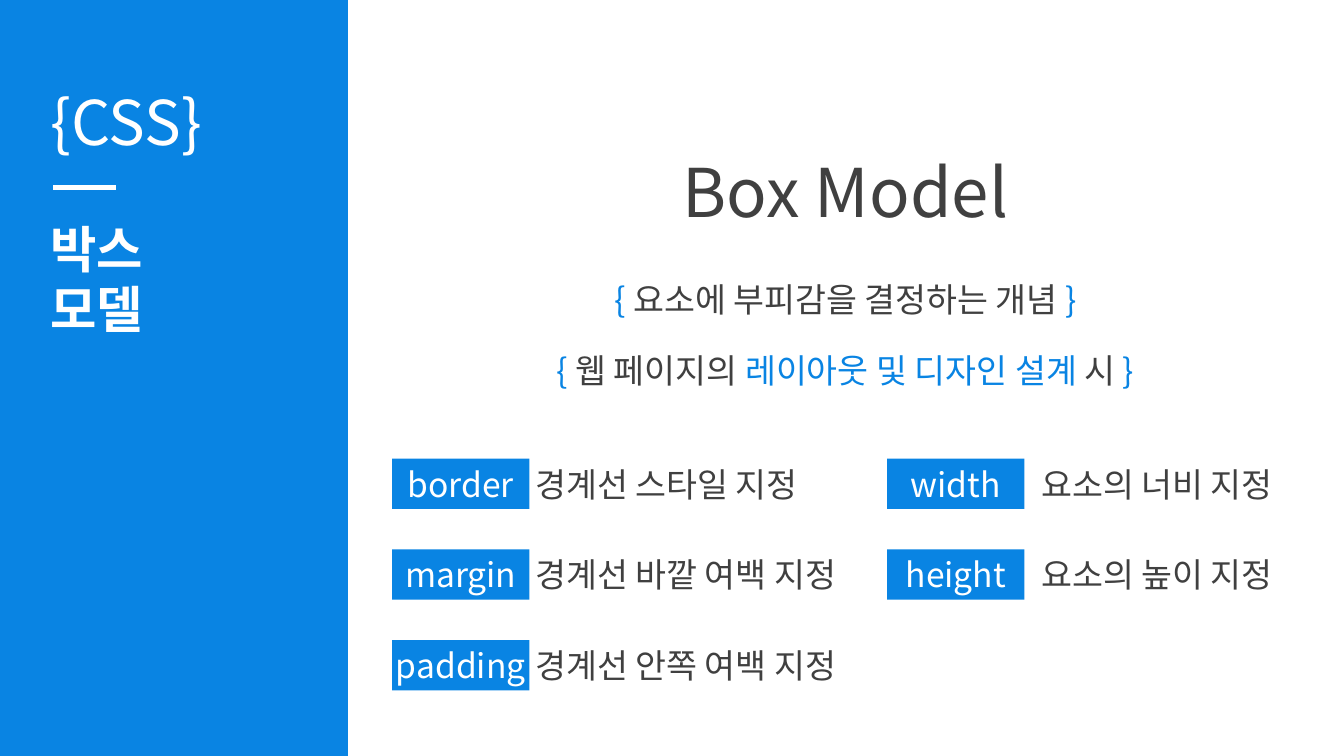
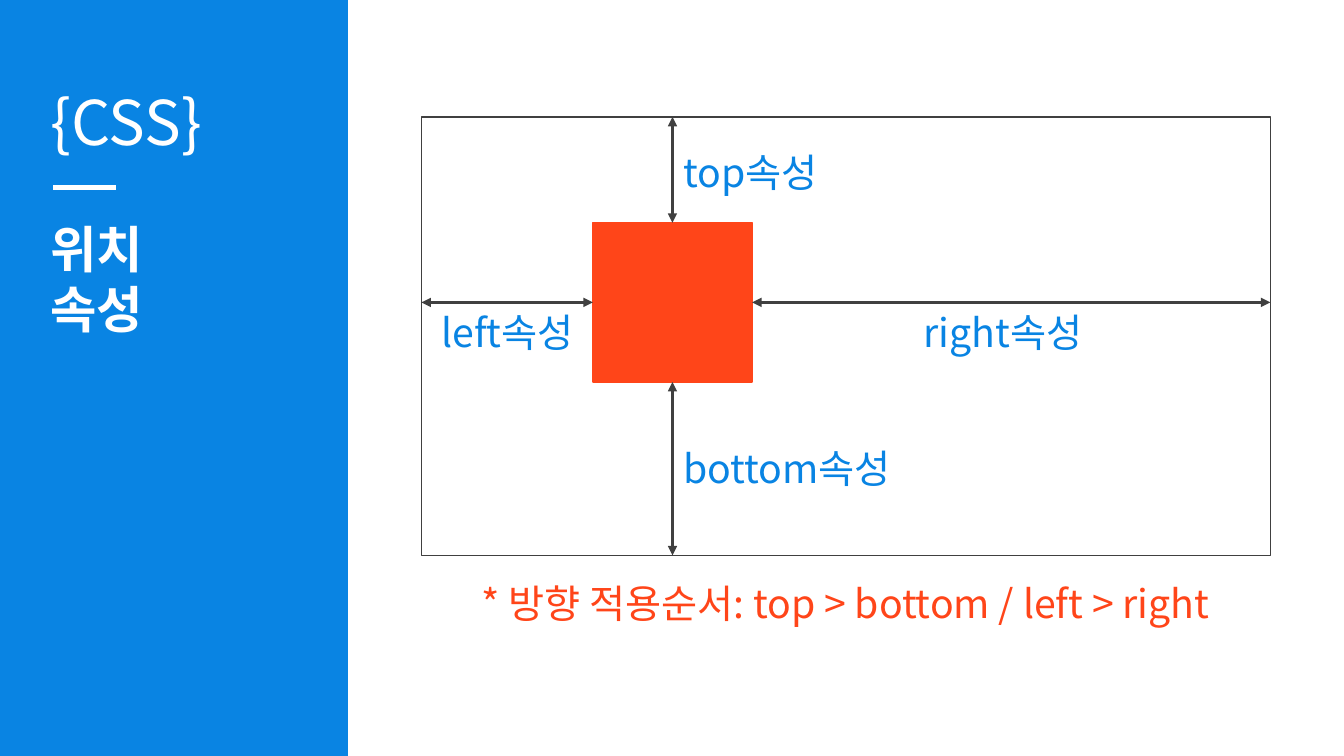
from dataclasses import dataclass
from typing import NamedTuple

from pptx import Presentation
from pptx.dml.color import RGBColor
from pptx.enum.shapes import MSO_CONNECTOR, MSO_SHAPE
from pptx.enum.text import MSO_ANCHOR, MSO_AUTO_SIZE, PP_ALIGN
from pptx.oxml.ns import qn
from pptx.util import Inches, Pt
from lxml.etree import SubElement


@dataclass(frozen=True)
class Theme:
    font: str = "Noto Sans CJK KR"
    blue: str = "0984E3"
    red: str = "FF4519"
    ink: str = "404040"
    white: str = "FFFFFF"
    head: int = 48
    brand: int = 44
    title: int = 36
    note: int = 28
    text: int = 24


class Box(NamedTuple):
    """A place on a grid of cells a tenth of an inch wide and high."""
    col: float
    row: float
    cols: float
    rows: float

    def emu(self) -> list[int]:
        return [cell(n) for n in self]


class Span(NamedTuple):
    text: str
    color: str


class Term(NamedTuple):
    name: str
    use: str


class Group(NamedTuple):
    """One column of terms: its chips, then their meanings."""
    chip: float
    use: float
    cols: float
    terms: list[Term]


class Label(NamedTuple):
    text: str
    box: Box
    align: PP_ALIGN


T = Theme()
LEFT, MID = PP_ALIGN.LEFT, PP_ALIGN.CENTER
TITLE = Box(4, 21.1, 11.2, 13.1)
PANE = 34.4
WIDE = 98.9
TOP, STEP, HIGH, CHIP = 45.5, 9, 5, 13.6

LINES = [
    [Span("{ ", T.blue), Span("요소에 부피감을 결정하는 개념 ", T.ink), Span("}", T.blue)],
    [Span("{ ", T.blue), Span("웹 페이지의 ", T.ink),
     Span("레이아웃 및 디자인 설계 ", T.blue), Span("시 ", T.ink), Span("}", T.blue)],
]
GROUPS = [
    Group(38.9, 52.1, 32.5, [
        Term("border", "경계선 스타일 지정"),
        Term("margin", "경계선 바깥 여백 지정"),
        Term("padding", "경계선 안쪽 여백 지정"),
    ]),
    Group(88, 102.3, 29, [
        Term("width", "요소의 너비 지정"),
        Term("height", "요소의 높이 지정"),
    ]),
]
FRAME = Box(41.8, 11.6, 84.2, 43.5)
SQUARE = Box(58.8, 22.1, 15.8, 15.8)
LABELS = [
    Label("top속성", Box(66.8, 14.2, 20.5, 5.7), LEFT),
    Label("bottom속성", Box(66.8, 43.6, 24.2, 5.7), LEFT),
    Label("left속성", Box(42.5, 30.1, 15.7, 5.7), MID),
    Label("right속성", Box(90.2, 30.1, 18.5, 5.7), MID),
]


def cell(n: float) -> int:
    return Inches(n / 10)


def rgb(color: str) -> RGBColor:
    return RGBColor.from_string(color)


def ink(run, size: int, color: str, bold: bool = False) -> None:
    run.font.size = Pt(size)
    run.font.bold = bold
    run.font.color.rgb = rgb(color)
    run.font.name = T.font
    SubElement(run._r.get_or_add_rPr(), qn("a:ea")).set("typeface", T.font)


def style(frame, size: int, color: str, align: PP_ALIGN = LEFT, bold: bool = False) -> None:
    for para in frame.paragraphs:
        para.alignment = align
        for run in para.runs:
            ink(run, size, color, bold)


def write(slide, box: Box, text: str, size: int, color: str,
          align: PP_ALIGN = LEFT, wrap: bool = True):
    shape = slide.shapes.add_textbox(*box.emu())
    frame = shape.text_frame
    frame.word_wrap = wrap
    frame.text = text
    style(frame, size, color, align)
    return shape


def rect(slide, box: Box, fill: str = "", edge: str = ""):
    shape = slide.shapes.add_shape(MSO_SHAPE.RECTANGLE, *box.emu())
    shape.shadow.inherit = False
    if fill:
        shape.fill.solid()
        shape.fill.fore_color.rgb = rgb(fill)
    else:
        shape.fill.background()
    if edge:
        shape.line.color.rgb = rgb(edge)
        shape.line.width = Pt(1)
    else:
        shape.line.fill.background()
    return shape


def rule(slide, start: tuple, end: tuple, color: str, width: float):
    line = slide.shapes.add_connector(
        MSO_CONNECTOR.STRAIGHT, *[cell(n) for n in (*start, *end)])
    line.line.color.rgb = rgb(color)
    line.line.width = Pt(width)
    SubElement(line._element.spPr, qn("a:effectLst"))
    return line


def arrow(slide, square, side: int, start: tuple, end: tuple) -> None:
    line = rule(slide, start, end, T.ink, 2.25)
    line.begin_connect(square, side)
    edge = line._element.spPr.find(qn("a:ln"))
    for tip in ("a:headEnd", "a:tailEnd"):
        SubElement(edge, qn(tip)).set("type", "triangle")


def brand(deck, slide) -> None:
    """Draw the side band once and move it to the master."""
    parts = [
        rect(slide, Box(0, 0, 34.5, 75), T.blue),
        rule(slide, (5.3, 18.6), (11.5, 18.6), T.white, 3),
        write(slide, Box(4, 7.8, 18.5, 8.4), "{CSS}", T.brand, T.white, wrap=False),
    ]
    tree = deck.slide_master.shapes._spTree
    for num, part in enumerate(parts, 101):
        part._element.xpath(".//p:cNvPr")[0].set("id", str(num))
        tree.append(part._element)


def place(holder, box: Box):
    holder.left, holder.top, holder.width, holder.height = box.emu()
    frame = holder.text_frame
    frame.auto_size = MSO_AUTO_SIZE.NONE
    frame.vertical_anchor = MSO_ANCHOR.TOP
    return frame


def title(slide, text: str) -> None:
    frame = place(slide.shapes.title, TITLE)
    frame.word_wrap = False
    frame.text = text
    style(frame, T.title, T.white, bold=True)


def body(slide, box: Box, lines: list[list[Span]], size: int, gap: float = 0) -> None:
    frame = place(slide.placeholders[1], box)
    for num, spans in enumerate(lines):
        para = frame.add_paragraph() if num else frame.paragraphs[0]
        props = para._p.get_or_add_pPr()
        props.set("marL", "0")
        props.set("indent", "0")
        SubElement(props, qn("a:buNone"))
        para.alignment = MID
        para.space_before = Pt(gap if num else 0)
        for span in spans:
            run = para.add_run()
            run.text = span.text
            ink(run, size, span.color)


def chip(slide, box: Box, text: str) -> None:
    frame = rect(slide, box, T.blue).text_frame
    frame.margin_left = frame.margin_right = 0
    frame.margin_top = frame.margin_bottom = 0
    frame.vertical_anchor = MSO_ANCHOR.MIDDLE
    frame.word_wrap = False
    frame.text = text
    style(frame, T.text, T.white, MID)


def model(slide) -> None:
    title(slide, "박스\n모델")
    write(slide, Box(PANE, 14.4, WIDE, 9.1), "Box Model", T.head, T.ink, MID)
    body(slide, Box(PANE, 27.2, WIDE, 12), LINES, T.text, 21.6)
    for group in GROUPS:
        for num, term in enumerate(group.terms):
            row = TOP + num * STEP
            chip(slide, Box(group.chip, row, CHIP, HIGH), term.name)
            write(slide, Box(group.use, row, group.cols, HIGH), term.use, T.text, T.ink)


def offsets(slide) -> None:
    title(slide, "위치\n속성")
    rect(slide, FRAME, edge=T.ink)
    body(slide, Box(PANE, 57, WIDE, 5.7),
         [[Span("* 방향 적용순서: top > bottom / left > right", T.red)]], T.note)
    square = rect(slide, SQUARE, T.red, T.red)
    x = SQUARE.col + SQUARE.cols / 2
    y = SQUARE.row + SQUARE.rows / 2
    ends = [
        ((x, SQUARE.row), (x, FRAME.row)),
        ((SQUARE.col, y), (FRAME.col, y)),
        ((x, SQUARE.row + SQUARE.rows), (x, FRAME.row + FRAME.rows)),
        ((SQUARE.col + SQUARE.cols, y), (FRAME.col + FRAME.cols, y)),
    ]
    for side, (start, end) in enumerate(ends):
        arrow(slide, square, side, start, end)
    for label in LABELS:
        write(slide, label.box, label.text, T.note, T.blue, label.align)


def main() -> None:
    deck = Presentation()
    deck.slide_width, deck.slide_height = Inches(13.33), Inches(7.5)
    layout = deck.slide_layouts[1]
    first = deck.slides.add_slide(layout)
    brand(deck, first)
    model(first)
    offsets(deck.slides.add_slide(layout))
    deck.save("out.pptx")


if __name__ == "__main__":
    main()
